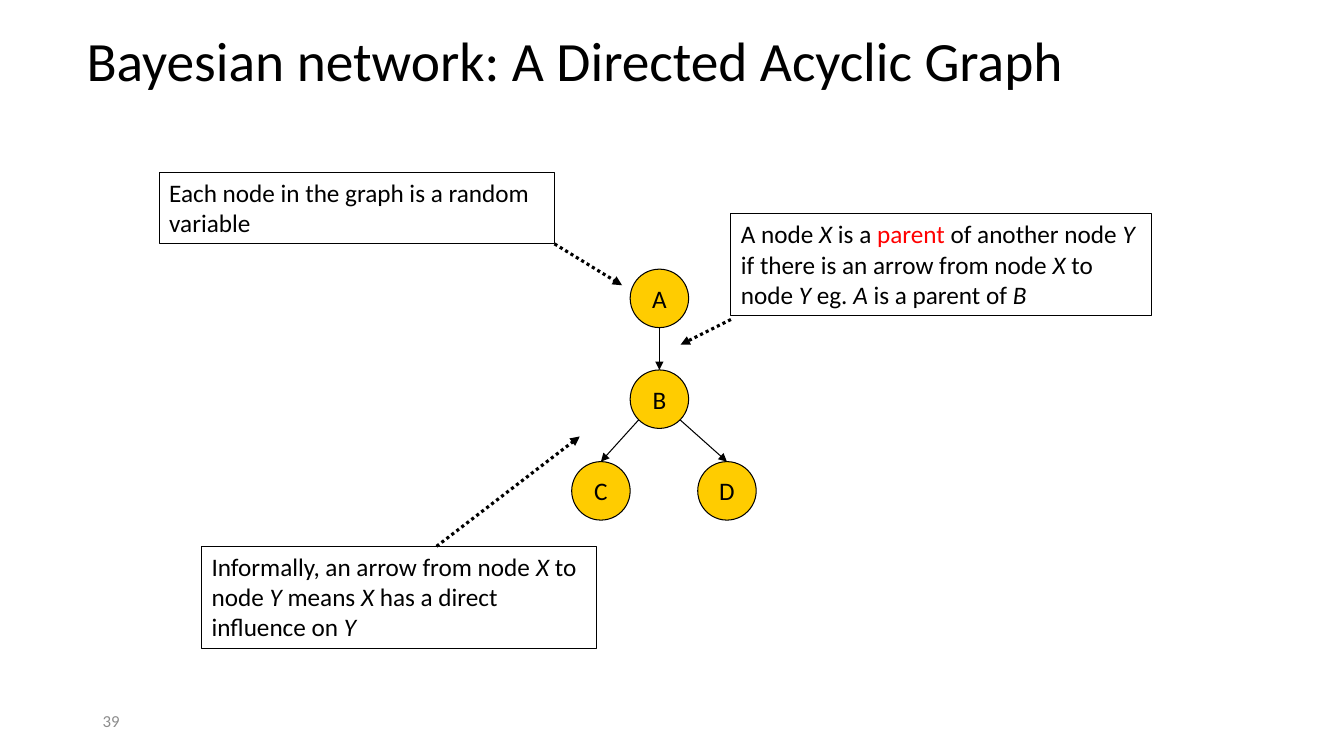
from math import hypot, sqrt
from lxml.etree import SubElement
from pptx import Presentation
from pptx.dml.color import RGBColor
from pptx.enum.dml import MSO_LINE
from pptx.enum.shapes import MSO_CONNECTOR, MSO_SHAPE
from pptx.enum.text import MSO_ANCHOR, PP_ALIGN
from pptx.oxml.ns import qn
from pptx.util import Inches, Pt

# Content: pieces between asterisks are italic, the key term is red
TITLE = "Bayesian network: A Directed Acyclic Graph"
NUMBER = "39"
TERM = "parent"
NOTES = [  # text, left, top, width, height
    ("Each node in the graph is a random variable", 1.58, 1.71, 3.92, 0.71),
    ("A node *X* is a *parent* of another node *Y* if there is an arrow from "
     "node *X* to node *Y *eg. *A* is a parent of *B*", 7.25, 2.12, 4.17, 1.01),
    ("Informally, an arrow from node *X* to node *Y* means *X* has a direct "
     "influence on *Y*", 2, 5.42, 3.92, 1.01),
]
NODES = {"A": (6.54, 2.96), "B": (6.54, 3.96), "C": (5.96, 4.87), "D": (7.21, 4.87)}
EDGES = ["AB", "BC", "BD"]
HINTS = [((5.5, 2.42), (6.17, 2.83)), ((7.25, 3.17), (6.75, 3.42)),
         ((4.33, 5.42), (5.75, 4.33))]
RADIUS = 0.29
FONT, BLACK, RED, GREY, GOLD = "Calibri", "000000", "FF0000", "8C8C8C", "FFCC00"

deck = Presentation()
deck.slide_width, deck.slide_height = Inches(13.33), Inches(7.5)
slide = deck.slides.add_slide(deck.slide_layouts[6])
shapes = slide.shapes


def color(code):
    return RGBColor.from_string(code)


def style(font, size, code=BLACK):
    font.name, font.size = FONT, Pt(size)
    font.color.rgb = color(code)


def label(text, box, size, code=BLACK):
    frame = shapes.add_textbox(*map(Inches, box)).text_frame
    frame.word_wrap = True
    frame.vertical_anchor = MSO_ANCHOR.MIDDLE
    para = frame.paragraphs[0]
    para.text = text
    style(para.font, size, code)
    return para


def block(kind, box, fill=None):
    shape = shapes.add_shape(kind, *map(Inches, box))
    shape.shadow.inherit = False
    if fill:
        shape.fill.solid()
        shape.fill.fore_color.rgb = color(fill)
    else:
        shape.fill.background()
    shape.line.color.rgb = color(BLACK)
    shape.line.width = Pt(0.75)
    return shape.text_frame


def arrow(start, end, width, dash=None):
    line = shapes.add_connector(MSO_CONNECTOR.STRAIGHT, *map(Inches, start + end))
    line.line.color.rgb = color(BLACK)
    line.line.width = Pt(width)
    if dash:
        line.line.dash_style = dash
    props = line._element.spPr
    SubElement(props.find(qn("a:ln")), qn("a:tailEnd"), type="triangle")
    SubElement(props, qn("a:effectLst"))


# Title and page number
label(NUMBER, (0.92, 6.95, 3, 0.4), 12, GREY)
label(TITLE, (0.76, 0.17, 10.15, 0.92), 39.6).line_spacing = 0.9

# Graph nodes
for name, (x, y) in NODES.items():
    frame = block(MSO_SHAPE.OVAL, (x - RADIUS, y - RADIUS, 2 * RADIUS, 2 * RADIUS), GOLD)
    frame.word_wrap = False
    frame.vertical_anchor = MSO_ANCHOR.MIDDLE
    para = frame.paragraphs[0]
    para.text, para.alignment = name, PP_ALIGN.CENTER
    style(para.font, 18)

# Graph edges: from the bottom or a lower corner to the top of the child
for parent, child in EDGES:
    (x, y), (cx, cy) = NODES[parent], NODES[child]
    side = (cx > x) - (cx < x)
    reach = RADIUS / hypot(side, 1)
    arrow((x + side * reach, y + reach), (cx, cy - RADIUS), 0.75)

# Notes
for text, *box in NOTES:
    frame = block(MSO_SHAPE.RECTANGLE, box)
    frame.word_wrap = True
    frame.vertical_anchor = MSO_ANCHOR.TOP
    para = frame.paragraphs[0]
    para.alignment = PP_ALIGN.LEFT
    style(para.font, 18)
    for i, piece in enumerate(text.split("*")):
        run = para.add_run()
        run.text = piece
        if piece == TERM:
            run.font.color.rgb = color(RED)
        elif i % 2:
            run.font.italic = True

# Dotted arrows from notes to graph
for start, end in HINTS:
    arrow(start, end, 2.25, MSO_LINE.ROUND_DOT)

deck.save("out.pptx")
